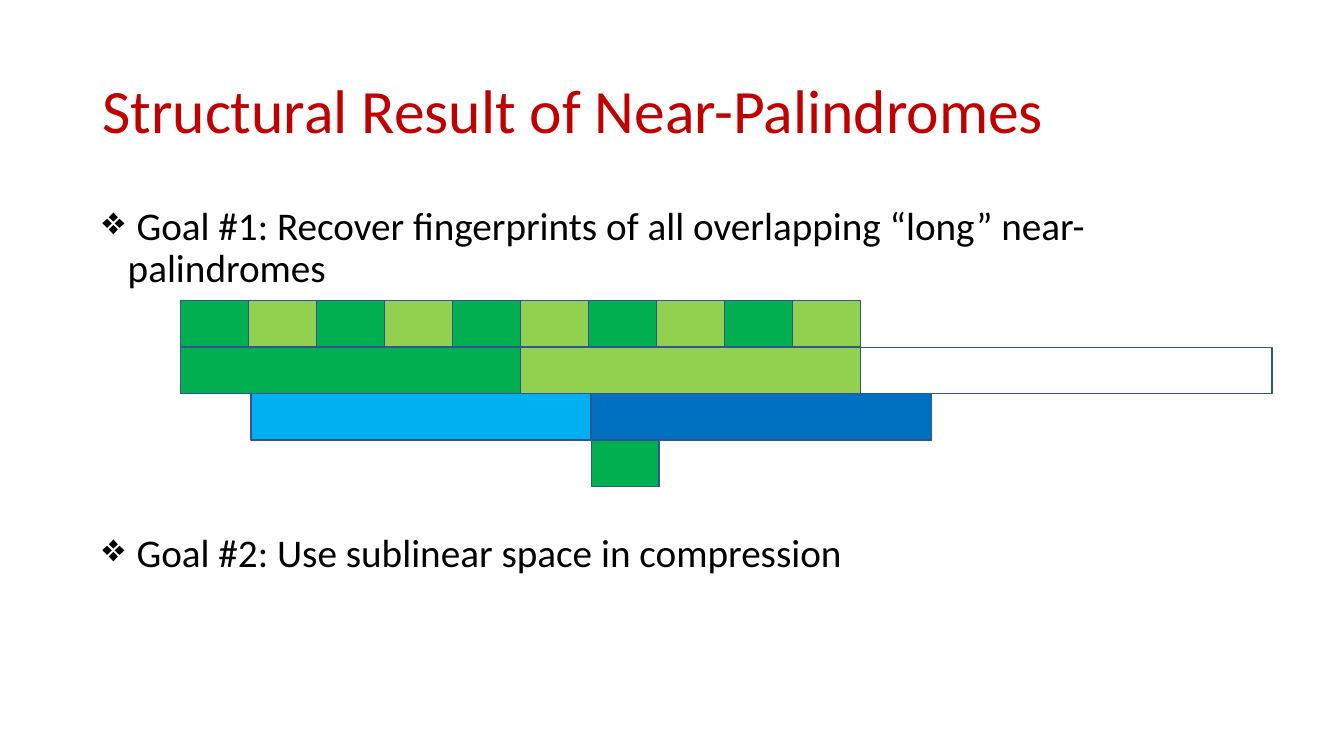
from lxml import etree
from pptx import Presentation
from pptx.dml.color import RGBColor
from pptx.enum.shapes import MSO_SHAPE
from pptx.enum.text import MSO_ANCHOR
from pptx.oxml.ns import qn
from pptx.util import Cm, Pt

RECT = MSO_SHAPE.RECTANGLE
TOP, MIDDLE = MSO_ANCHOR.TOP, MSO_ANCHOR.MIDDLE
FONT = "Calibri"
COLORS = {
    "title": "C00000", "text": "000000", "outline": "325491",
    "green": "00B050", "lime": "92D050", "sky": "00B0F0",
    "blue": "0070C0", "white": "FFFFFF",
}

# Bar geometry in centimetres
LEFT, TOP_ROW, ROW = 4.55, 7.58, 1.17
HALF = 8.57
CELL = HALF / 5
SHIFTED_LEFT = 6.33
REST = 10.37


def rgb(name):
    return RGBColor.from_string(COLORS[name])


def add_text(s, top, height, lines, size, color, anchor):
    sp = s.shapes.add_textbox(Cm(2.33), Cm(top), Cm(29.21), Cm(height))
    tf = sp.text_frame
    tf.word_wrap = True
    tf.vertical_anchor = anchor
    tf.text = "\n".join(lines)
    for p in tf.paragraphs:
        p.line_spacing = 0.9
        for r in p.runs:
            r.font.name = FONT
            r.font.size = Pt(size)
            r.font.color.rgb = rgb(color)
    return tf


def add_bullet(p):
    pPr = p._p.get_or_add_pPr()
    pPr.set("marL", str(Cm(0.64)))
    pPr.set("indent", str(-Cm(0.64)))
    etree.SubElement(pPr, qn("a:buChar")).set("char", "❖")


def add_bar(s, left, row, width, color):
    sp = s.shapes.add_shape(RECT, Cm(left), Cm(TOP_ROW + row * ROW),
                            Cm(width), Cm(ROW))
    sp.shadow.inherit = False
    sp.fill.solid()
    sp.fill.fore_color.rgb = rgb(color)
    sp.line.color.rgb = rgb("outline")
    sp.line.width = Pt(1)


def add_row(s, left, row, bars):
    """Lay (width, color) bars side by side from left."""
    for width, color in bars:
        add_bar(s, left, row, width, color)
        left += width


def main():
    prs = Presentation()
    prs.slide_width, prs.slide_height = Cm(33.87), Cm(19.05)
    s = prs.slides.add_slide(prs.slide_layouts[6])

    add_text(s, 1.02, 3.68, ["Structural Result of Near-Palindromes"],
             44, "title", MIDDLE)

    add_row(s, LEFT, 1, [(HALF, "green"), (HALF, "lime"), (REST, "white")])
    add_row(s, SHIFTED_LEFT, 2, [(HALF, "sky"), (HALF, "blue")])
    add_row(s, SHIFTED_LEFT + HALF, 3, [(CELL, "green")])
    add_row(s, LEFT, 0, [(CELL, "green"), (CELL, "lime")] * 5)

    goals = add_text(s, 5.08, 12.09, [
        " Goal #1: Recover fingerprints of all overlapping “long” near-palindromes",
        " Goal #2: Use sublinear space in compression",
    ], 28, "text", TOP)
    for p in goals.paragraphs:
        add_bullet(p)
    goals.paragraphs[1].space_before = Pt(173)

    prs.save("out.pptx")


if __name__ == "__main__":
    main()
